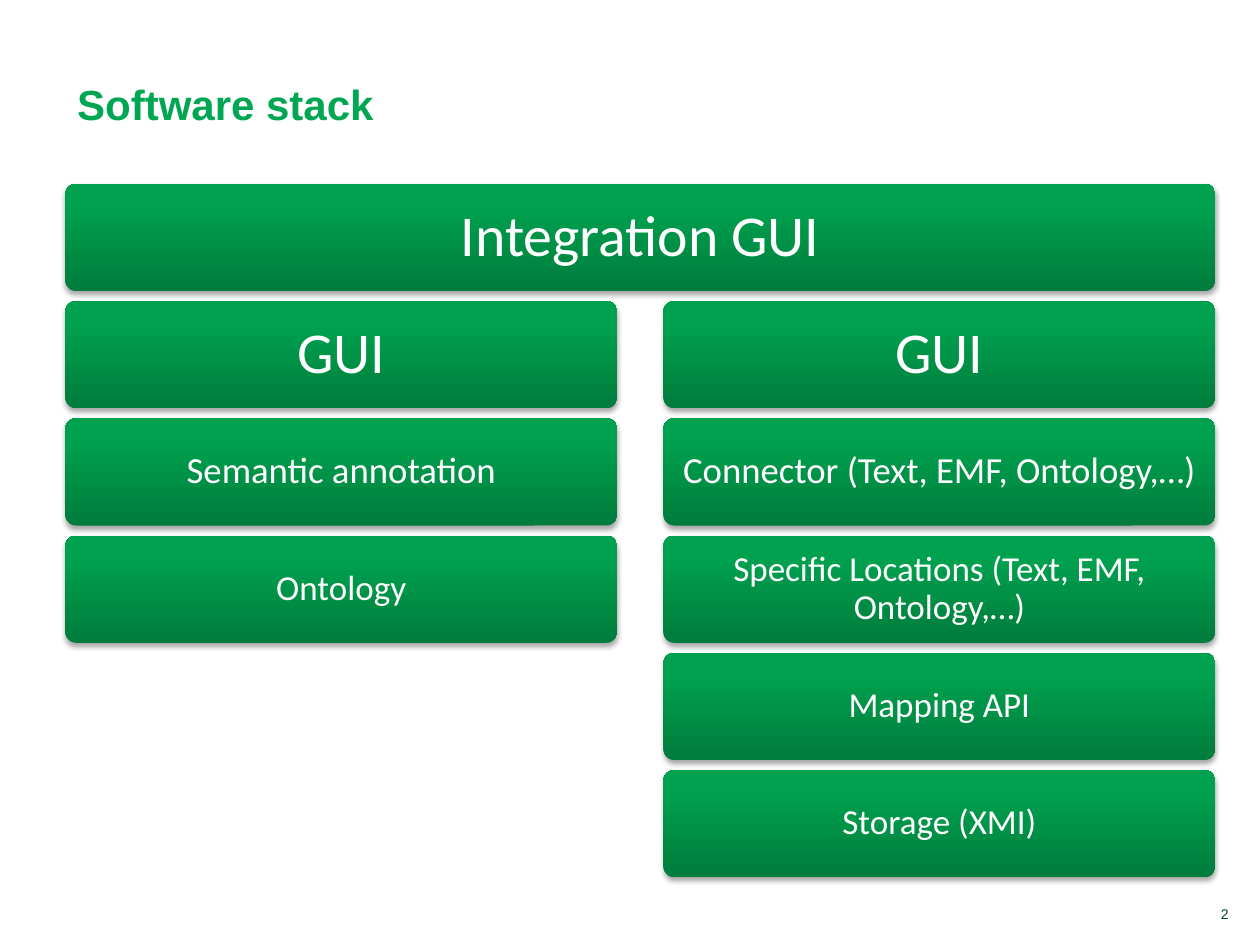
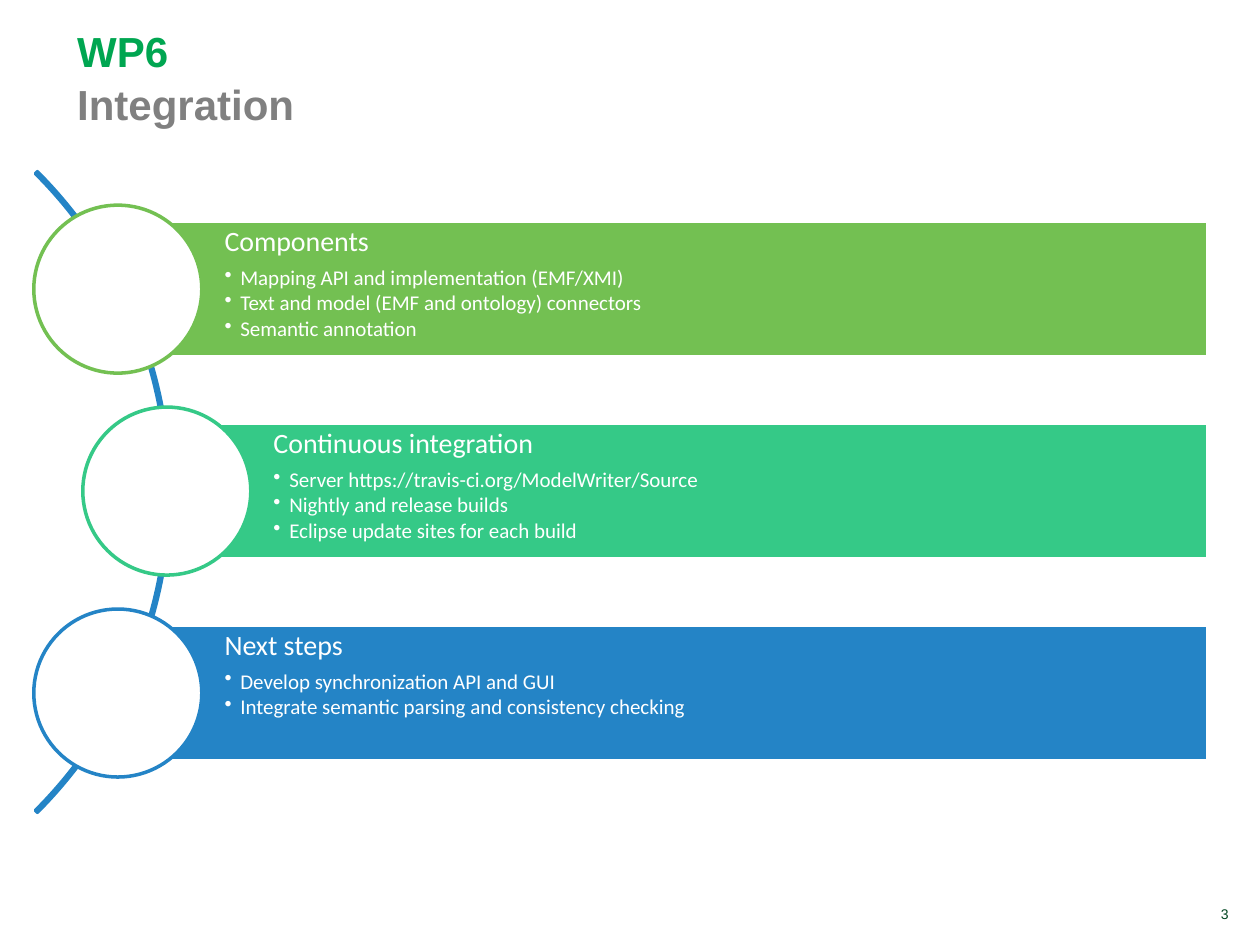
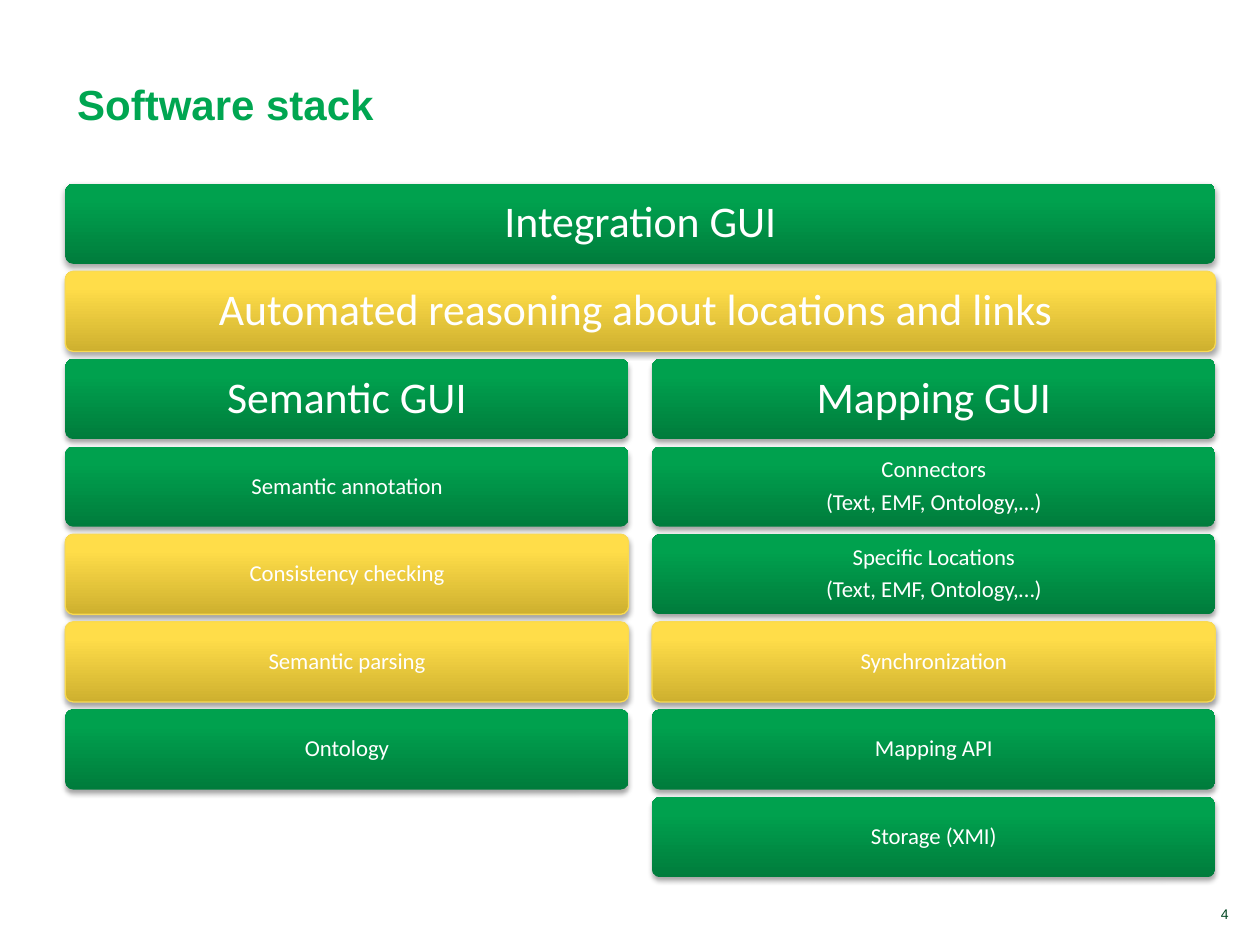
"""Build three slides on a software stack and its integration work package."""
import copy

import pptx
import pptx.dml.color
import pptx.enum.shapes
import pptx.enum.text
import pptx.oxml
import pptx.oxml.ns
import pptx.util
from lxml import etree

Pt = pptx.util.Pt
RGB = pptx.dml.color.RGBColor
SHAPE = pptx.enum.shapes.MSO_SHAPE
ALIGN = pptx.enum.text.PP_ALIGN
ANCHOR = pptx.enum.text.MSO_ANCHOR
qn = pptx.oxml.ns.qn

WHITE = RGB(0xFF, 0xFF, 0xFF)
BLACK = RGB(0x00, 0x00, 0x00)
TITLE_GREEN = RGB(0x00, 0xA6, 0x51)
SUBTITLE_GRAY = RGB(0x80, 0x80, 0x80)
NUMBER_GREEN = RGB(0x00, 0x46, 0x21)
LIME = RGB(0x73, 0xC0, 0x52)
MINT = RGB(0x35, 0xC9, 0x87)
BLUE = RGB(0x24, 0x84, 0xC6)
YELLOW_EDGE = RGB(0xF9, 0xDA, 0x51)
GREEN_STOPS = [(0, RGB(0x00, 0x7C, 0x3C)), (0.8, RGB(0x00, 0xA1, 0x4E)), (1, RGB(0x00, 0xA2, 0x4F))]
YELLOW_STOPS = [(0, RGB(0xCE, 0xB0, 0x2F)), (0.8, RGB(0xFF, 0xDD, 0x49)), (1, RGB(0xFF, 0xDD, 0x4A))]
HEAD_FONT, BODY_FONT = "Arial", "Calibri"

FIRST_NUMBER = 2
STACK_LEFT, STACK_TOP, STACK_WIDTH, STACK_HEIGHT = 37.3, 105, 657.2, 396.3
ROW_GAP = 0.093
BAR_TOP, BAR_HEIGHT, BAR_PITCH, BAR_RIGHT = 126.7, 77, 115.4, 690
CIRCLE_LEFT, CIRCLE_SIZE = 19.3, 96

CURRENT_STACK = {
    "gap": 26.4,
    "wide": [("Integration GUI", 33)],
    "columns": [
        [("GUI", 33), ("Semantic annotation", 21), ("Ontology", 20)],
        [("GUI", 33), ("Connector (Text, EMF, Ontology,…)", 21),
         ("Specific Locations (Text, EMF, Ontology,…)", 20), ("Mapping API", 20),
         ("Storage (XMI)", 20)],
    ],
}
PLANNED_STACK = {
    "gap": 13.4,
    "wide": [("Integration GUI", 25),
             ("Automated reasoning about locations and links ", 25, "new")],
    "columns": [
        [("Semantic GUI", 25), ("Semantic annotation", 13), ("Consistency checking", 13, "new"),
         ("Semantic parsing", 13, "new"), ("Ontology", 13)],
        [("Mapping GUI", 25), ("Connectors\n(Text, EMF, Ontology,…)", 13),
         ("Specific Locations\n(Text, EMF, Ontology,…)", 13), ("Synchronization", 13, "new"),
         ("Mapping API", 13), ("Storage (XMI)", 13)],
    ],
}
TOPICS = [
    ("Components", LIME, 0, [
        "Mapping API and implementation (EMF/XMI)",
        "Text and model (EMF and ontology) connectors",
        "Semantic annotation"]),
    ("Continuous integration", MINT, 28, [
        "Server https://travis-ci.org/ModelWriter/Source",
        "Nightly and release builds",
        "Eclipse update sites for each build"]),
    ("Next steps", BLUE, 0, [
        "Develop synchronization API and GUI",
        "Integrate semantic parsing and consistency checking"]),
]


def write(tf, text, size=12, color=WHITE, font=BODY_FONT, bold=False, align=ALIGN.LEFT,
          spacing=0.9, after=0, bullet=False, line_of=None):
    """Add a paragraph, or a further line of the paragraph line_of."""
    if line_of is not None:
        p = line_of
        p.add_line_break()
    else:
        p = tf.add_paragraph() if tf.text else tf.paragraphs[0]
        p.alignment = align
        p.line_spacing = spacing
        p.space_after = Pt(round(after * size, 2))
    if bullet:
        p.level = 1
        pPr = p._p.get_or_add_pPr()
        pPr.set("marL", str(Pt(9)))
        pPr.set("indent", str(-Pt(9)))
        etree.SubElement(pPr, qn("a:buChar"), char="•")
    r = p.add_run()
    r.text = text
    r.font.size, r.font.name, r.font.bold = Pt(size), font, bold
    r.font.color.rgb = color
    return p


def frame(sp, margins, anchor):
    """Set the insets and the anchor of a shape's text and return its frame."""
    tf = sp.text_frame
    tf.word_wrap = True
    tf.vertical_anchor = anchor
    tf.margin_left, tf.margin_top, tf.margin_right, tf.margin_bottom = map(Pt, margins)
    return tf


def add_shape(s, kind, x, y, w, h, fill=None, line=None, weight=2):
    """Add a preset shape with a plain fill and outline, either of them optional."""
    sp = s.shapes.add_shape(kind, Pt(x), Pt(y), Pt(w), Pt(h))
    sp.shadow.inherit = False
    if fill is None:
        sp.fill.background()
    else:
        sp.fill.solid()
        sp.fill.fore_color.rgb = fill
    if line is None:
        sp.line.fill.background()
    else:
        sp.line.color.rgb = line
        sp.line.width = Pt(weight)
    return sp


def add_gradient(sp, stops):
    """Fill a shape from bottom to top with the given stops."""
    sp.fill.gradient()
    sp.fill.gradient_angle = 90
    gs_lst = sp.element.spPr.find(".//" + qn("a:gsLst"))
    while len(gs_lst) < len(stops):
        gs_lst.append(copy.deepcopy(gs_lst[-1]))
    for stop, (position, color) in zip(sp.fill.gradient_stops, stops):
        stop.position = position
        stop.color.rgb = color


def add_shadow(sp):
    """Give a shape a soft shadow below it."""
    effects = sp.element.spPr.find(qn("a:effectLst"))
    shadow = etree.SubElement(effects, qn("a:outerShdw"), blurRad=str(Pt(3.1)),
                              dist=str(Pt(1.8)), dir="5400000", rotWithShape="0")
    color = etree.SubElement(shadow, qn("a:srgbClr"), val=str(BLACK))
    etree.SubElement(color, qn("a:alpha"), val="35000")


def add_slide(prs, title, subtitle=None):
    """Add a slide with its title and number."""
    s = prs.slides.add_slide(prs.slide_layouts[5])
    sp = s.shapes.title
    sp.left, sp.top, sp.width, sp.height = Pt(36.9), Pt(11.5), Pt(491), Pt(65.5)
    tf = frame(sp, (7.2, 3.6, 7.2, 3.6), ANCHOR.BOTTOM)
    tf.auto_size = pptx.enum.text.MSO_AUTO_SIZE.NONE
    style = dict(size=24, font=HEAD_FONT, bold=True)
    p = write(tf, title, color=TITLE_GREEN, spacing=1.05, **style)
    if subtitle:
        write(tf, subtitle, color=SUBTITLE_GRAY, line_of=p, **style)
    box = s.shapes.add_textbox(Pt(614.9), Pt(514), Pt(94.3), Pt(16.6))
    write(frame(box, (7.2, 3.6, 7.2, 3.6), ANCHOR.BOTTOM),
          str(FIRST_NUMBER + len(prs.slides) - 1), size=8, color=NUMBER_GREEN,
          font=HEAD_FONT, align=ALIGN.RIGHT, spacing=1.0)
    return s


def add_block(s, x, y, w, h, text, size, state="done"):
    """Add one layer of the stack, yellow when it is new."""
    new = state == "new"
    sp = add_shape(s, SHAPE.ROUNDED_RECTANGLE, x, y, w, h,
                   line=YELLOW_EDGE if new else None, weight=0.75)
    sp.adjustments[0] = 0.1
    add_gradient(sp, YELLOW_STOPS if new else GREEN_STOPS)
    add_shadow(sp)
    tf = frame(sp, [0.3 * size + 1.5] * 4, ANCHOR.MIDDLE)
    for line in text.split("\n"):
        write(tf, line, size=size, align=ALIGN.CENTER, after=0.35)


def add_stack(s, stack):
    """Lay out the full-width layers and, below them, the two columns."""
    wide, columns = stack["wide"], stack["columns"]
    rows = len(wide) + max(map(len, columns))
    height = STACK_HEIGHT / (rows + ROW_GAP * (rows - 1))
    pitch = height * (1 + ROW_GAP)
    width = (STACK_WIDTH - stack["gap"]) / 2
    for row, block in enumerate(wide):
        add_block(s, STACK_LEFT, STACK_TOP + row * pitch, STACK_WIDTH, height, *block)
    for col, blocks in enumerate(columns):
        x = STACK_LEFT + col * (width + stack["gap"])
        for row, block in enumerate(blocks, len(wide)):
            add_block(s, x, STACK_TOP + row * pitch, width, height, *block)


def add_topics(s):
    """Draw the arc and the topic bars with their circles."""
    arc = add_shape(s, SHAPE.BLOCK_ARC, -420.5, 22.3, 517.7, 517.7, line=BLUE)
    for i, value in enumerate((189, 27, 0.003)):
        arc.adjustments[i] = value
    for row, (heading, color, shift, points) in enumerate(TOPICS):
        x, y = CIRCLE_LEFT + shift, BAR_TOP + row * BAR_PITCH
        bar_x = x + CIRCLE_SIZE / 2
        bar = add_shape(s, SHAPE.RECTANGLE, bar_x, y, BAR_RIGHT - bar_x, BAR_HEIGHT, color, WHITE)
        tf = frame(bar, (61, 3, 3, 3), ANCHOR.TOP)
        write(tf, heading, size=16, after=0.35)
        for point in points:
            write(tf, point, after=0.15, bullet=True)
        add_shape(s, SHAPE.OVAL, x, y + (BAR_HEIGHT - CIRCLE_SIZE) / 2,
                  CIRCLE_SIZE, CIRCLE_SIZE, WHITE, color)


def main():
    """Build and save the presentation."""
    prs = pptx.Presentation()
    prs.slide_width, prs.slide_height = Pt(720), Pt(540)
    add_stack(add_slide(prs, "Software stack"), CURRENT_STACK)
    add_topics(add_slide(prs, "WP6", "Integration"))
    add_stack(add_slide(prs, "Software stack"), PLANNED_STACK)
    prs.save("out.pptx")


if __name__ == "__main__":
    main()
